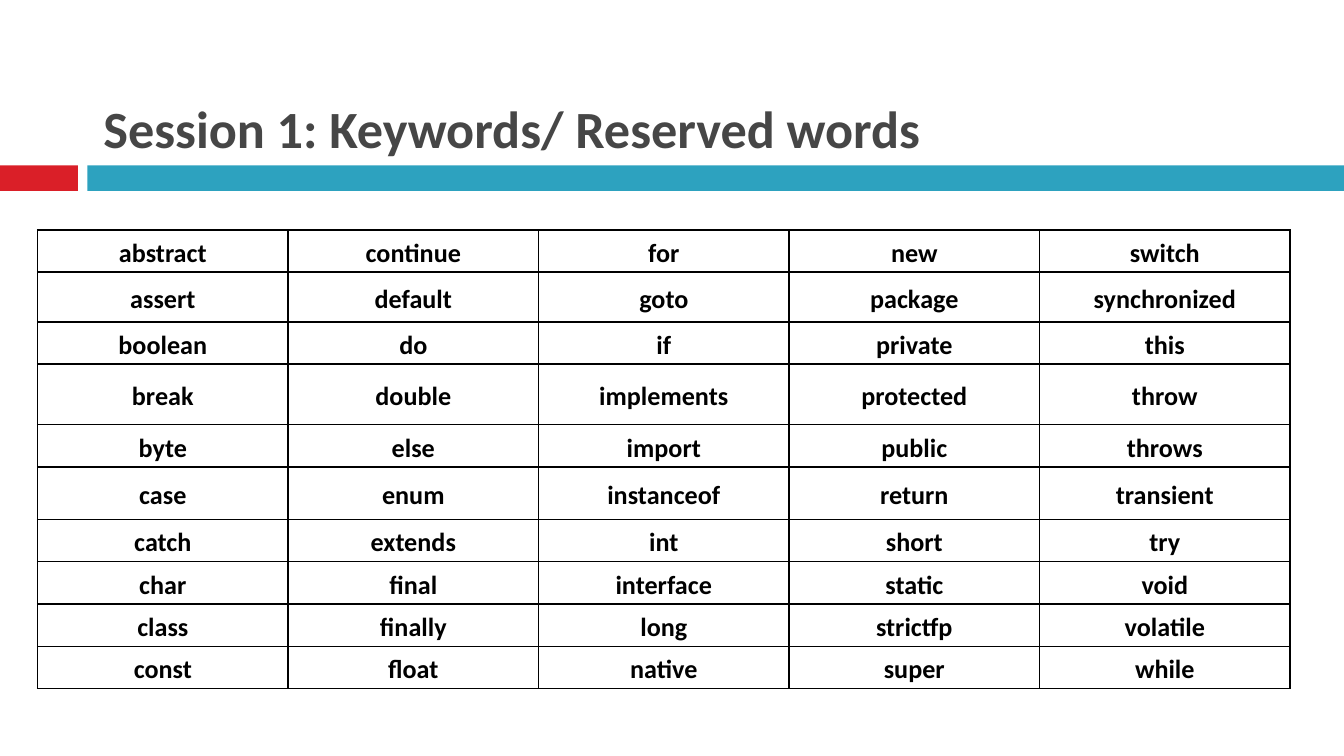
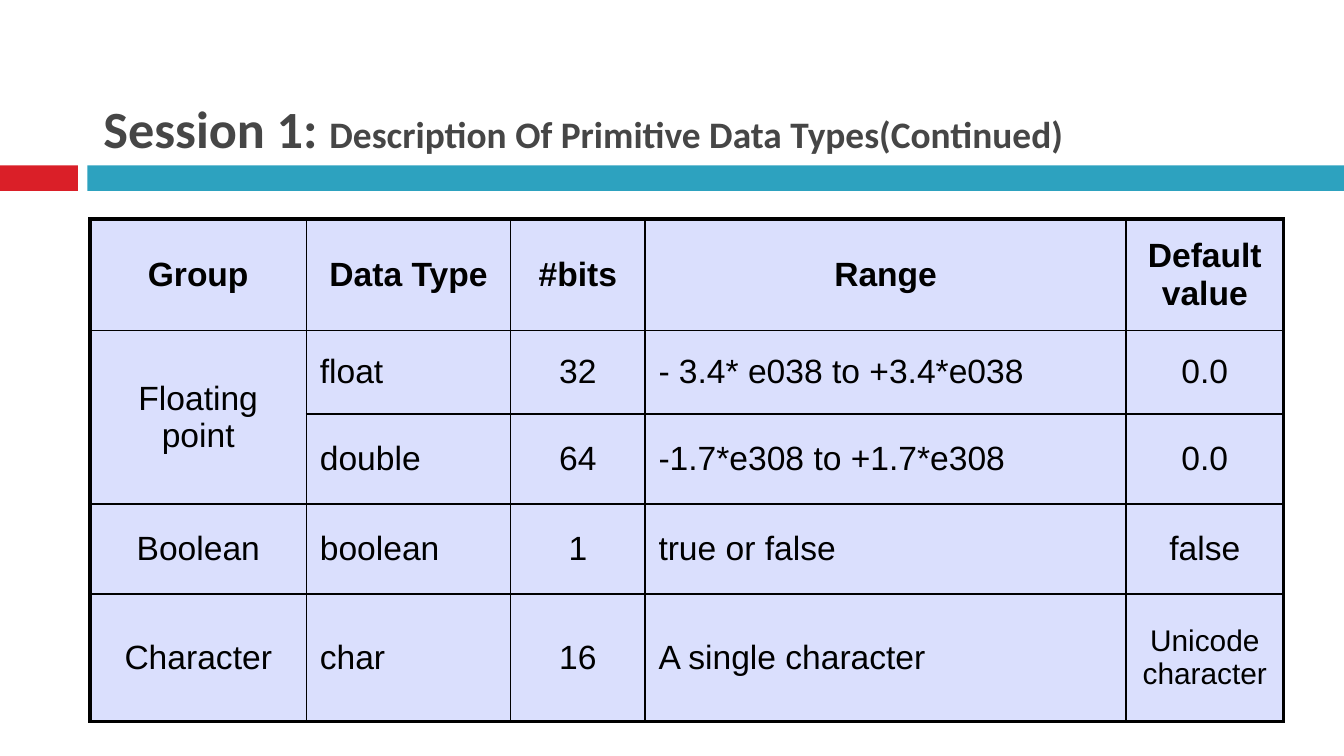
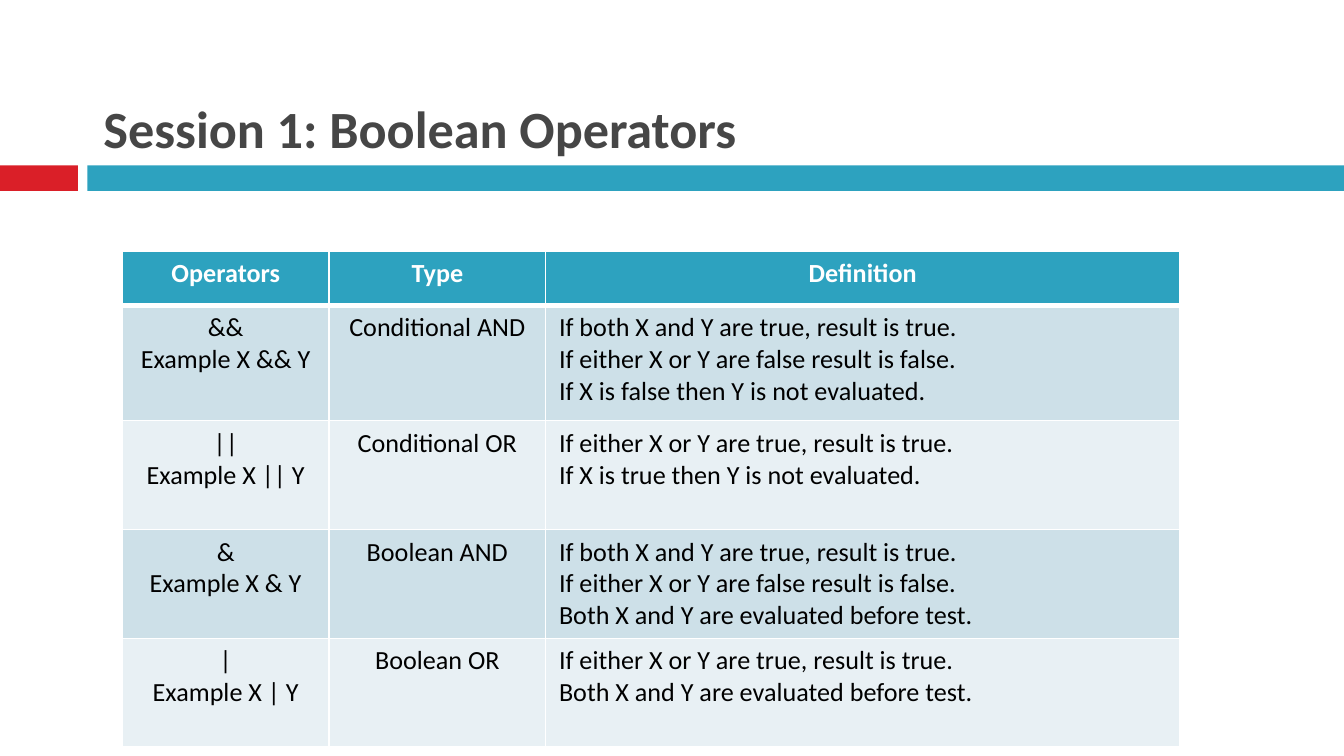
from lxml import etree
from pptx import Presentation
from pptx.dml.color import RGBColor
from pptx.enum.shapes import MSO_SHAPE
from pptx.enum.text import MSO_ANCHOR, MSO_AUTO_SIZE, PP_ALIGN
from pptx.oxml.ns import qn
from pptx.util import Inches, Pt

RECTANGLE = MSO_SHAPE.RECTANGLE
TOP, MIDDLE, BOTTOM = MSO_ANCHOR.TOP, MSO_ANCHOR.MIDDLE, MSO_ANCHOR.BOTTOM
LEFT, CENTER = PP_ALIGN.LEFT, PP_ALIGN.CENTER
NO_AUTOFIT = MSO_AUTO_SIZE.NONE

BLACK = RGBColor(0x00, 0x00, 0x00)
WHITE = RGBColor(0xFF, 0xFF, 0xFF)
GRAY = RGBColor(0x46, 0x46, 0x46)
RED = RGBColor(0xDA, 0x1F, 0x28)
TEAL = RGBColor(0x2D, 0xA2, 0xBF)
LAVENDER = RGBColor(0xB7, 0xC1, 0xFD)
BLUE_BAND = RGBColor(0xCD, 0xE0, 0xE8)
PALE_BAND = RGBColor(0xE8, 0xF0, 0xF4)

TITLE_ONLY = 5
CELL = Inches(0.1)  # the grid has 100 columns; its rows are equally tall


def grid(count):
    """Length of a number of grid columns or rows."""
    return round(count * CELL)


def set_percent_spacing(paragraph, before, after):
    properties = paragraph._p.get_or_add_pPr()
    for tag, percent in (("a:spcBef", before), ("a:spcAft", after)):
        spacing = etree.SubElement(properties, qn(tag))
        etree.SubElement(spacing, qn("a:spcPct"), val=str(percent * 1000))


def write_text(frame, text, size=14, font="Calibri", color=BLACK, bold=False,
               align=LEFT, line_spacing=None, percent_spacing=None):
    """Write lines of text; a line is a string or a list of (text, size) runs."""
    lines = text.split("\n") if isinstance(text, str) else [text]
    for index, line in enumerate(lines):
        paragraph = frame.add_paragraph() if index else frame.paragraphs[0]
        paragraph.alignment = align
        if line_spacing:
            paragraph.line_spacing = line_spacing
        if percent_spacing:
            set_percent_spacing(paragraph, *percent_spacing)
        for run_text, run_size in [(line, size)] if isinstance(line, str) else line:
            run = paragraph.add_run()
            run.text = run_text
            run.font.name, run.font.size = font, Pt(run_size)
            run.font.bold, run.font.color.rgb = bold, color


class Deck:
    def __init__(self):
        self.presentation = Presentation()
        self.presentation.slide_width = Inches(10)
        self.presentation.slide_height = Pt(405)
        self.slide = None

    def add_slide(self, title):
        layout = self.presentation.slide_layouts[TITLE_ONLY]
        self.slide = self.presentation.slides.add_slide(layout)
        self.band(0, 5.8, RED)
        self.band(6.5, 93.5, TEAL)
        self.title(title)

    def band(self, left, width, color):
        shape = self.slide.shapes.add_shape(
            RECTANGLE, grid(left), grid(12.3), grid(width), grid(1.9))
        shape.shadow.inherit = False
        shape.fill.solid()
        shape.fill.fore_color.rgb = color
        shape.line.fill.background()

    def title(self, text):
        shape = self.slide.shapes.title
        shape.left, shape.top = grid(6.7), grid(1.3)
        shape.width, shape.height = grid(93.3), grid(11)
        frame = shape.text_frame
        frame.auto_size = NO_AUTOFIT
        frame.vertical_anchor = BOTTOM
        write_text(frame, text, size=28, color=GRAY, bold=True)

    def table(self, rows, left, top, widths, heights, cell_format):
        """Draw a table; cell_format(row, column) gives the format of a cell."""
        table = self.slide.shapes.add_table(
            len(rows), len(widths), grid(left), grid(top),
            grid(sum(widths)), grid(sum(heights))).table
        table.first_row = table.horz_banding = False
        for column, width in zip(table.columns, widths):
            column.width = grid(width)
        for row, height in zip(table.rows, heights):
            row.height = grid(height)
        for row, texts in enumerate(rows):
            for column, text in enumerate(texts):
                self.cell(table.cell(row, column), text, **cell_format(row, column))
        return table

    def cell(self, cell, text, borders, border_color=BLACK, fill=None, alpha=None,
             anchor=TOP, margin=None, **text_format):
        cell.vertical_anchor = anchor
        if margin is not None:
            cell.margin_left = cell.margin_right = margin
            cell.margin_top = cell.margin_bottom = margin
        self.borders(cell, borders, border_color)
        if fill is None:
            cell.fill.background()
        else:
            cell.fill.solid()
            cell.fill.fore_color.rgb = fill
        if alpha:
            color = cell._tc.tcPr.find(qn("a:solidFill"))[0]
            etree.SubElement(color, qn("a:alpha"), val=str(alpha * 1000))
        if text:
            write_text(cell.text_frame, text, **text_format)

    def borders(self, cell, widths, color):
        """Set the left, right, top and bottom lines, with widths in points."""
        properties = cell._tc.get_or_add_tcPr()
        for side, width in zip("LRTB", widths):
            line = etree.SubElement(properties, qn("a:ln" + side), w=str(Pt(width)))
            solid = etree.SubElement(line, qn("a:solidFill"))
            etree.SubElement(solid, qn("a:srgbClr"), val=str(color))


def keywords_slide(deck):
    deck.add_slide("Session 1: Keywords/ Reserved words")
    # Keywords run alphabetically down each column
    columns = [words.split() for words in (
        "abstract assert boolean break byte case catch char class const",
        "continue default do double else enum extends final finally float",
        "for goto if implements import instanceof int interface long native",
        "new package private protected public return short static strictfp super",
        "switch synchronized this throw throws transient try void volatile while")]

    def keyword_format(row, column):
        return dict(borders=(1, 1, 1, 1), anchor=MIDDLE, margin=0, bold=True,
                    align=CENTER, line_spacing=1.15)

    deck.table(list(zip(*columns)), 2.8, 17.1, [18.64] * 5,
               [3.15, 3.7, 3.15, 4.5, 3.15, 3.9] + [3.15] * 4, keyword_format)


def data_types_slide(deck):
    deck.add_slide([("Session 1: ", 28),
                    ("Description Of Primitive Data Types(Continued)", 20)])
    rows = [
        ("Group", "Data Type", "#bits", "Range", "Default value"),
        ("Floating point", "float", "32", "- 3.4* e038 to +3.4*e038", "0.0"),
        ("", "double", "64", "-1.7*e308 to +1.7*e308", "0.0"),
        ("Boolean", "boolean", "1", "true or false", "false"),
        ("Character", "char", "16", "A single character", "Unicode character"),
    ]
    last_row, last_column = len(rows) - 1, len(rows[0]) - 1
    type_column, range_column = 1, 3

    def data_type_format(row, column):
        header = row == 0
        outer_sides = (column == 0, column == last_column, header, row == last_row)
        left_aligned = not header and column in (type_column, range_column)
        plain_range = column == range_column and row in (1, 2)
        return dict(
            borders=[2.25 if outer else 1 for outer in outer_sides],
            fill=LAVENDER, alpha=50, anchor=MIDDLE, font="Arial", bold=header,
            size=16 if (row, column) == (last_row, last_column) else 18,
            align=LEFT if left_aligned else CENTER,
            percent_spacing=None if plain_range else (35, 15))

    table = deck.table(rows, 6.7, 16.3, [16.1, 15.2, 10, 35.8, 11.7],
                       [8.3, 6.2, 6.7, 6.7, 9.5], data_type_format)
    table.cell(1, 0).merge(table.cell(2, 0))


def operators_slide(deck):
    deck.add_slide("Session 1: Boolean Operators")
    both = "If both X and Y are true, result is true.\n" \
           "If either X or Y are false result is false.\n"
    either = "If either X or Y are true, result is true.\n"
    evaluated = "Both X and Y are evaluated before test."
    operators = [
        ("&&", "Conditional AND", both + "If X is false then Y is not evaluated."),
        ("||", "Conditional OR", either + "If X is true then Y is not evaluated."),
        ("&", "Boolean AND", both + evaluated),
        ("|", "Boolean OR", either + evaluated),
    ]
    rows = [("Operators", "Type", "Definition")]
    rows += [(f"{symbol}\nExample X {symbol} Y", kind, definition)
             for symbol, kind, definition in operators]

    def operator_format(row, column):
        header = row == 0
        band = BLUE_BAND if row % 2 else PALE_BAND
        return dict(
            borders=(1, 1, 3 if row == 1 else 1, 3 if header else 1),
            border_color=WHITE, fill=TEAL if header else band,
            color=WHITE if header else BLACK, bold=header,
            align=CENTER if header or column < 2 else LEFT)

    deck.table(rows, 9.1, 18.7, [15.4, 16.1, 47.2], [4, 8.6, 8.1, 8.1, 8.1],
               operator_format)


def main():
    deck = Deck()
    keywords_slide(deck)
    data_types_slide(deck)
    operators_slide(deck)
    deck.presentation.save("out.pptx")


if __name__ == "__main__":
    main()
